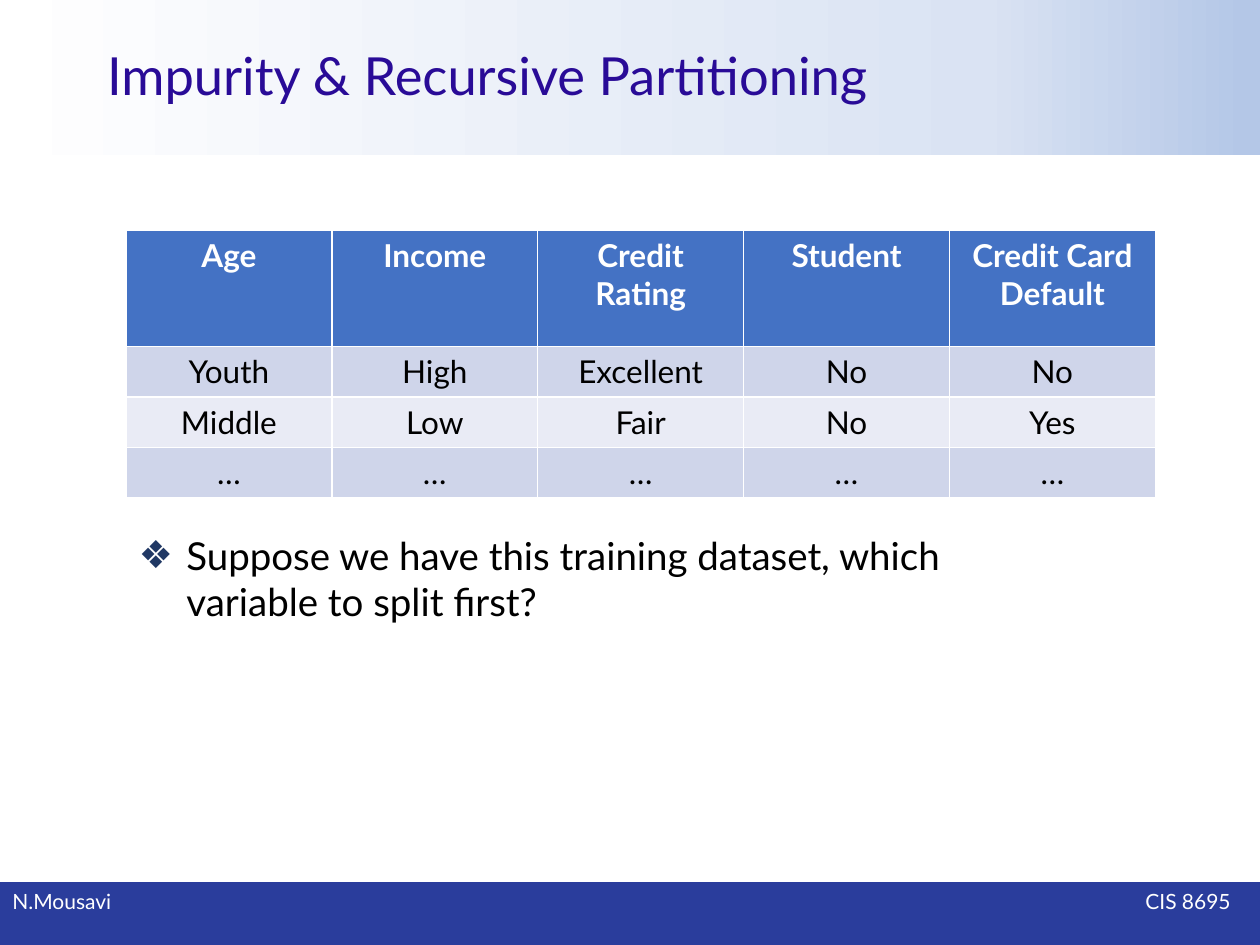
from copy import deepcopy

from lxml.etree import SubElement
from pptx import Presentation
from pptx.dml.color import RGBColor
from pptx.enum.shapes import MSO_SHAPE
from pptx.enum.text import MSO_ANCHOR, MSO_AUTO_SIZE, PP_ALIGN
from pptx.oxml.ns import qn
from pptx.util import Inches, Pt

WHITE = RGBColor(0xFF, 0xFF, 0xFF)
BLACK = RGBColor(0x00, 0x00, 0x00)
INDIGO = RGBColor(0x29, 0x0B, 0x97)
FOOTER_BLUE = RGBColor(0x2A, 0x3D, 0x9C)
HEADER_BLUE = RGBColor(0x44, 0x72, 0xC4)
ROW_DARK = RGBColor(0xCF, 0xD5, 0xEA)
ROW_LIGHT = RGBColor(0xE9, 0xEB, 0xF5)
BULLET_NAVY = RGBColor(0x20, 0x38, 0x64)
BAND_STOPS = [
    (0.01, RGBColor(0xB4, 0xC7, 0xE7)),
    (0.22, RGBColor(0xDA, 0xE3, 0xF3)),
    (1.0, WHITE),
]
TRAINING_DATA = [
    ["Age", "Income", "Credit Rating", "Student", "Credit Card Default"],
    ["Youth", "High", "Excellent", "No", "No"],
    ["Middle", "Low", "Fair", "No", "Yes"],
    ["…"] * 5,
]


def write(tf, text, font="Lato", size=18, color=BLACK, bold=False,
          align=PP_ALIGN.LEFT, before=0, after=0, line=1.0):
    p = tf.paragraphs[0]
    p.alignment = align
    p.line_spacing = line
    p.space_before, p.space_after = Pt(before), Pt(after)
    r = p.add_run()
    r.text = text
    r.font.name, r.font.size = font, Pt(size)
    r.font.bold, r.font.color.rgb = bold, color
    return p


class SlideBuilder:
    """Hold the style and the current slide, and add each kind of element."""

    def __init__(self, prs, font="Lato"):
        self.font = font
        self.s = prs.slides.add_slide(prs.slide_layouts[1])

    def place(self, sp, left, top, width, height):
        sp.left, sp.top = Inches(left), Inches(top)
        sp.width, sp.height = Inches(width), Inches(height)

    def band(self, top, height):
        sp = self.s.shapes.add_shape(
            MSO_SHAPE.RECTANGLE, 0, Inches(top), Inches(10), Inches(height))
        sp.shadow.inherit = False
        sp.line.fill.background()
        self.s.shapes.title.element.addprevious(sp.element)
        return sp

    def gradient_band(self, top, height, stops):
        sp = self.band(top, height)
        sp.fill.gradient()
        sp.fill.gradient_angle = 180
        gs_list = sp.element.spPr.find(".//" + qn("a:gsLst"))
        gs_list.append(deepcopy(gs_list[0]))
        for stop, (position, color) in zip(sp.fill.gradient_stops, stops):
            stop.position, stop.color.rgb = position, color

    def footer(self, top, height, left_text, right_text):
        sp = self.band(top, height)
        sp.fill.solid()
        sp.fill.fore_color.rgb = FOOTER_BLUE
        tf = sp.text_frame
        tf.vertical_anchor = MSO_ANCHOR.TOP
        p = write(tf, f"{left_text}\t{right_text}", font=self.font, size=12,
                  color=WHITE, before=3.8, after=3.8)
        tabs = SubElement(p._p.get_or_add_pPr(), qn("a:tabLst"))
        SubElement(tabs, qn("a:tab"), pos=str(Inches(9.67)), algn="r")

    def title(self, text, *box):
        sp = self.s.shapes.title
        self.place(sp, *box)
        sp.text_frame.vertical_anchor = MSO_ANCHOR.MIDDLE
        write(sp.text_frame, text, font=self.font, size=30, color=INDIGO, line=0.9)

    def table(self, rows, left, top, width, header_height, row_height):
        height = header_height + row_height * (len(rows) - 1)
        table = self.s.shapes.add_table(
            len(rows), len(rows[0]), Inches(left), Inches(top),
            Inches(width), Inches(height)).table
        for i, values in enumerate(rows):
            header = i == 0
            table.rows[i].height = Inches(header_height if header else row_height)
            fill = HEADER_BLUE if header else (ROW_LIGHT, ROW_DARK)[i % 2]
            for j, value in enumerate(values):
                cell = table.cell(i, j)
                cell.fill.solid()
                cell.fill.fore_color.rgb = fill
                write(cell.text_frame, value, font=self.font, bold=header,
                      color=WHITE if header else BLACK, align=PP_ALIGN.CENTER)

    def bullet(self, text, *box):
        sp = self.s.placeholders[1]
        self.place(sp, *box)
        tf = sp.text_frame
        tf.auto_size = MSO_AUTO_SIZE.SHAPE_TO_FIT_TEXT
        p = write(tf, text, font=self.font, size=22)
        pPr = p._p.get_or_add_pPr()
        pPr.set("marL", str(Inches(0.38)))
        pPr.set("indent", str(Inches(-0.38)))
        color = SubElement(pPr, qn("a:buClr"))
        SubElement(color, qn("a:srgbClr"), val=str(BULLET_NAVY))
        SubElement(pPr, qn("a:buChar"), char="❖")


def main():
    prs = Presentation()
    prs.slide_width, prs.slide_height = Inches(10), Inches(7.5)
    slide = SlideBuilder(prs)
    slide.gradient_band(0, 1.23, BAND_STOPS)
    slide.footer(7, 0.52, "N.Mousavi", "CIS 8695")
    slide.title("Impurity & Recursive Partitioning", 0.75, 0, 8.75, 1.25)
    slide.table(TRAINING_DATA, 1, 1.83, 8.17, 0.92, 0.37)
    slide.bullet("Suppose we have this training dataset, which variable to split first?",
                 1, 4.17, 7.33, 0.84)
    prs.save("out.pptx")


if __name__ == "__main__":
    main()
